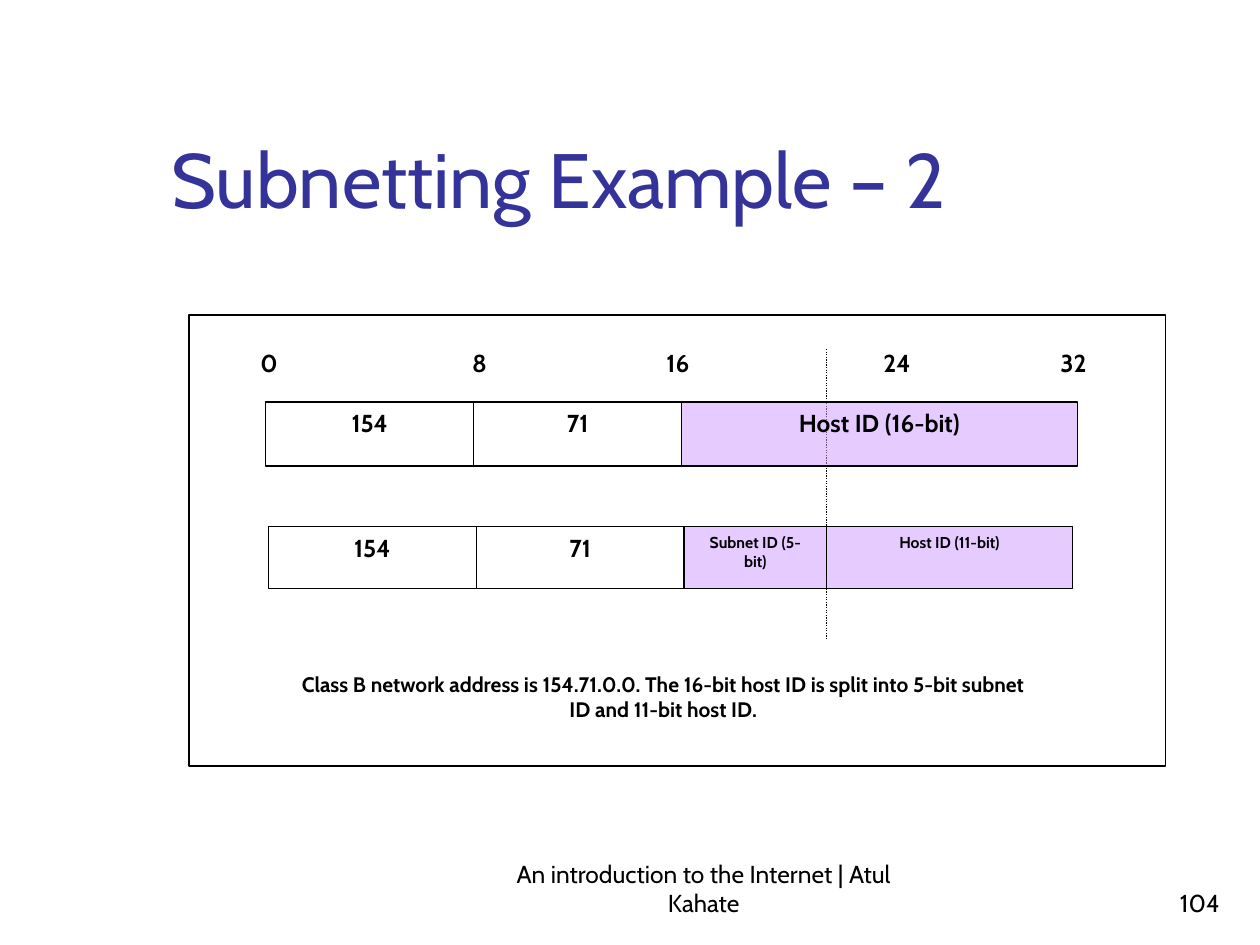
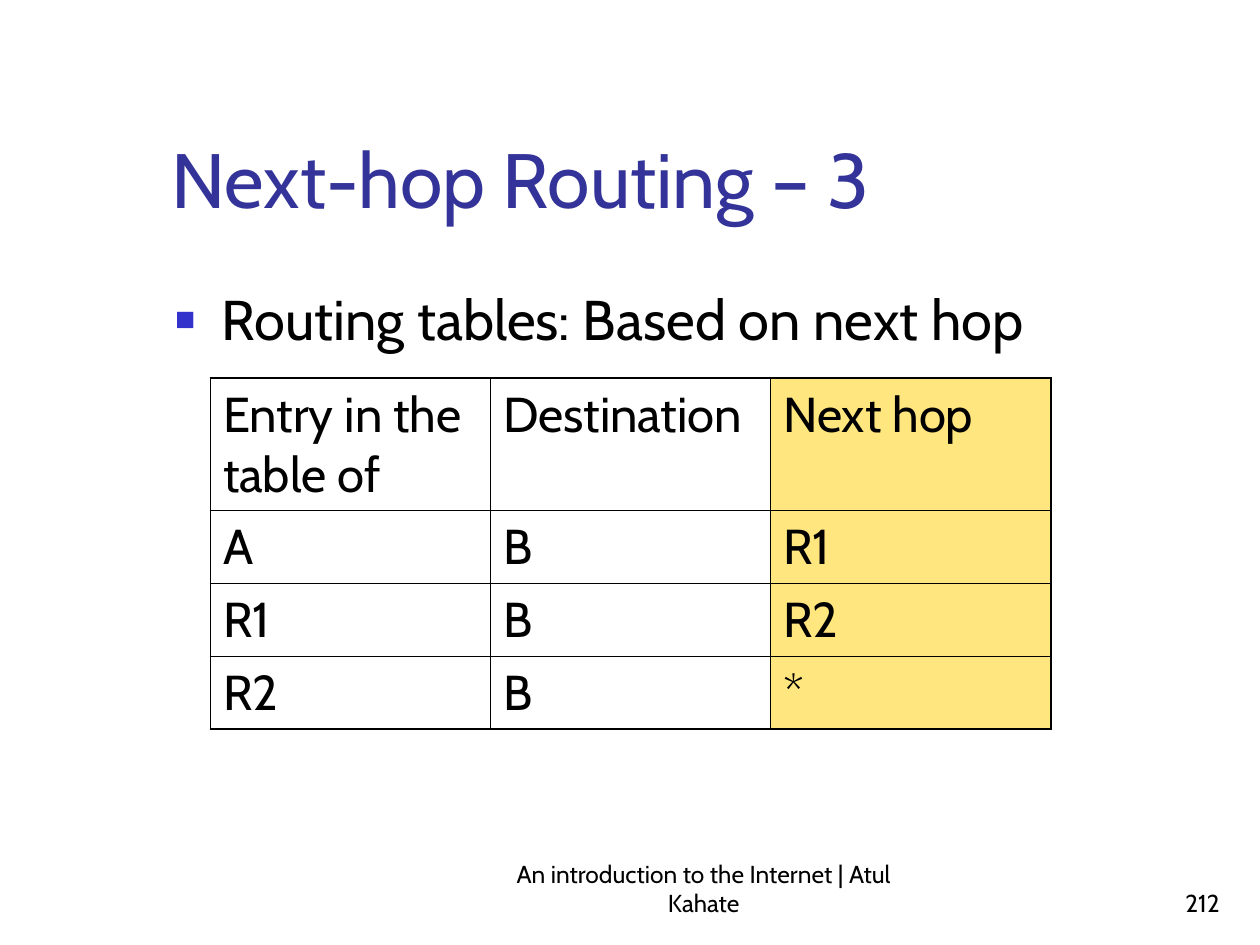
import itertools

import lxml.etree
import pptx
import pptx.dml.color
import pptx.enum.dml
import pptx.enum.shapes
import pptx.enum.text
import pptx.oxml.ns
import pptx.util

FONT = "Cabin"
BLACK = pptx.dml.color.RGBColor(0x00, 0x00, 0x00)
WHITE = pptx.dml.color.RGBColor(0xFF, 0xFF, 0xFF)
TITLE_BLUE = pptx.dml.color.RGBColor(0x33, 0x33, 0x99)
BULLET_BLUE = pptx.dml.color.RGBColor(0x33, 0x33, 0xCC)
HOST_PURPLE = pptx.dml.color.RGBColor(0xCC, 0x99, 0xFF)
HOP_YELLOW = pptx.dml.color.RGBColor(0xFF, 0xCF, 0x01)

SLIDE_WIDTH = pptx.util.Inches(10)
SLIDE_HEIGHT = pptx.util.Inches(7.5)
THIN, THICK = pptx.util.Pt(0.45), pptx.util.Pt(1.08)
OUTLINE = pptx.util.Pt(0.75)
FOOTER = "An introduction to the Internet | Atul Kahate"

ALIGN = pptx.enum.text.PP_ALIGN
ANCHOR = pptx.enum.text.MSO_ANCHOR
RECTANGLE = pptx.enum.shapes.MSO_SHAPE.RECTANGLE


def area(left, top, width, height):
    """Turn percentages of the slide into lengths."""
    return (
        int(SLIDE_WIDTH * left / 100),
        int(SLIDE_HEIGHT * top / 100),
        int(SLIDE_WIDTH * width / 100),
        int(SLIDE_HEIGHT * height / 100),
    )


def add_element(parent, tag, **attributes):
    return lxml.etree.SubElement(parent, pptx.oxml.ns.qn(tag), attributes)


def make_half_clear(properties):
    for color in properties.findall(pptx.oxml.ns.qn("a:solidFill") + "/*"):
        add_element(color, "a:alpha", val="50000")


def write(frame, text, size, color=BLACK, bold=False, align=ALIGN.LEFT, anchor=ANCHOR.TOP):
    frame.word_wrap = True
    frame.auto_size = pptx.enum.text.MSO_AUTO_SIZE.NONE
    frame.vertical_anchor = anchor
    para = frame.paragraphs[0]
    para.text = text
    para.alignment = align
    para.space_before = pptx.util.Pt(0)
    para.font.name = FONT
    para.font.size = pptx.util.Pt(size)
    para.font.bold = bold
    para.font.color.rgb = color
    return para


def place(shape, bounds):
    shape.left, shape.top, shape.width, shape.height = bounds


def add_page(deck, layout, title, number):
    page = deck.slides.add_slide(deck.slide_layouts.get_by_name(layout))
    place(page.shapes.title, area(12.6, 3.07, 85.2, 21.33))
    write(page.shapes.title.text_frame, title, 44, TITLE_BLUE, anchor=ANCHOR.BOTTOM)
    for text, left, width, align in (
        (FOOTER, 40, 31.7, ALIGN.CENTER),
        (str(number), 77, 20.8, ALIGN.RIGHT),
    ):
        box = page.shapes.add_textbox(*area(left, 91.07, width, 6.67))
        write(box.text_frame, text, 14, align=align, anchor=ANCHOR.BOTTOM)
    return page


def add_box(shapes, bounds, text="", size=14, fill=WHITE, outlined=False):
    box = shapes.add_shape(RECTANGLE, *bounds)
    box.shadow.inherit = False
    box.fill.solid()
    box.fill.fore_color.rgb = fill
    if fill == HOST_PURPLE:
        make_half_clear(box.fill._xPr)
    if outlined:
        box.line.color.rgb = BLACK
        box.line.width = OUTLINE
    else:
        box.line.fill.background()
    if text:
        write(box.text_frame, text, size, bold=True, align=ALIGN.CENTER)
        box.text_frame.margin_left = box.text_frame.margin_right = pptx.util.Inches(0.12)


def add_address_bar(shapes, left, top, height, fields):
    for text, width, size, fill in fields:
        add_box(shapes, area(left, top, width, height), text, size, fill, outlined=True)
        left += width


def add_split_line(shapes, x, top, bottom):
    left, start, _, end = area(x, top, 0, bottom)
    line = shapes.add_connector(
        pptx.enum.shapes.MSO_CONNECTOR.STRAIGHT, left, start, left, end
    )
    line.line.color.rgb = BLACK
    line.line.width = OUTLINE
    line.line.dash_style = pptx.enum.dml.MSO_LINE.ROUND_DOT
    add_element(line._element.spPr, "a:effectLst")


def add_bullet(para):
    properties = para._p.get_or_add_pPr()
    properties.set("marL", str(pptx.util.Inches(0.37)))
    properties.set("indent", str(-pptx.util.Inches(0.37)))
    color = add_element(properties, "a:buClr")
    add_element(color, "a:srgbClr", val=str(BULLET_BLUE))
    add_element(properties, "a:buSzPct", val="60000")
    add_element(properties, "a:buChar", char="■")


def set_borders(cell, left, right, top, bottom):
    properties = cell._tc.get_or_add_tcPr()
    for side, width in zip("LRTB", (left, right, top, bottom)):
        border = add_element(properties, "a:ln" + side, w=str(width))
        fill = add_element(border, "a:solidFill")
        add_element(fill, "a:srgbClr", val=str(BLACK))


def add_routing_table(page, rows, row_heights):
    row_count, column_count = len(rows), len(rows[0])
    bounds = area(16.7, 40, 66.7, sum(row_heights))
    table = page.shapes.add_table(row_count, column_count, *bounds).table
    table.first_row = table.horz_banding = False
    for row, height in zip(table.rows, row_heights):
        row.height = area(0, 0, 0, height)[3]
    for r, c in itertools.product(range(row_count), range(column_count)):
        cell = table.cell(r, c)
        para = write(cell.text_frame, rows[r][c], 28)
        para.line_spacing = 1.01
        set_borders(
            cell,
            THICK if c == 0 else THIN,
            THICK if c == column_count - 1 else THIN,
            THICK if r == 0 else THIN,
            THICK if r == row_count - 1 else THIN,
        )
        if c == column_count - 1:
            cell.fill.solid()
            cell.fill.fore_color.rgb = HOP_YELLOW
            make_half_clear(cell._tc.tcPr)
        else:
            cell.fill.background()


def build_subnetting(deck):
    page = add_page(deck, "Title Only", "Subnetting Example – 2", 104)
    diagram = page.shapes.add_group_shape().shapes
    add_box(diagram, area(15, 33.33, 77.5, 47.73), outlined=True)
    add_split_line(diagram, 65.6, 36.93, 67.73)
    network = [("154", 16.5, 14, WHITE), ("71", 16.5, 14, WHITE)]
    add_address_bar(
        diagram, 21.1, 42.53, 6.8, network + [("Host ID (16-bit)", 31.4, 14, HOST_PURPLE)]
    )
    for bit, center in ((0, 21.35), (8, 38.05), (16, 53.8), (24, 71.2), (32, 85.2)):
        width = 3.9 if bit < 10 else 5.8
        add_box(diagram, area(center - width / 2, 36.13, width, 5.07), str(bit))
    split_host = [
        ("Subnet ID (5-bit)", 11.3, 9, HOST_PURPLE),
        ("Host ID (11-bit)", 19.5, 9, HOST_PURPLE),
    ]
    add_address_bar(diagram, 21.3, 55.73, 6.53, network + split_host)
    add_box(
        diagram,
        area(22.4, 70.4, 60.5, 7.6),
        "Class B network address is 154.71.0.0. The 16-bit host ID is split into "
        "5-bit subnet ID and 11-bit host ID.",
        12,
    )


def build_routing(deck):
    page = add_page(deck, "Title and Content", "Next-hop Routing – 3", 212)
    body = page.placeholders[1]
    place(body, area(12.9, 29.47, 85, 60))
    add_bullet(body.text_frame.paragraphs[0])
    write(body.text_frame, "Routing tables: Based on next hop", 32)
    rows = [
        ("Entry in the table of", "Destination", "Next hop"),
        ("A", "B", "R1"),
        ("R1", "B", "R2"),
        ("R2", "B", "*"),
    ]
    add_routing_table(page, rows, [13.73, 7.6, 7.6, 7.6])


def main():
    deck = pptx.Presentation()
    deck.slide_width, deck.slide_height = SLIDE_WIDTH, SLIDE_HEIGHT
    build_subnetting(deck)
    build_routing(deck)
    deck.save("out.pptx")


if __name__ == "__main__":
    main()
